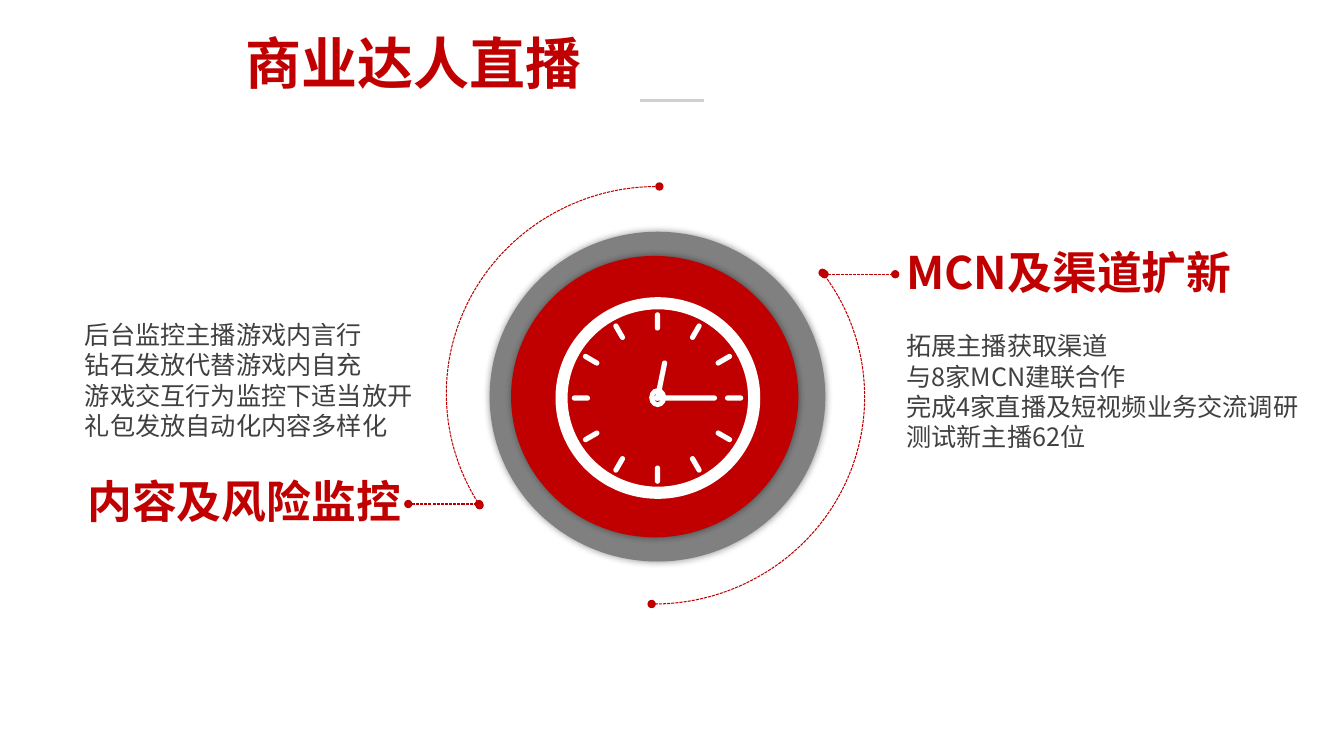
import math
from dataclasses import dataclass

from lxml import etree
from pptx import Presentation
from pptx.dml.color import RGBColor
from pptx.enum.dml import MSO_LINE
from pptx.enum.lang import MSO_LANGUAGE_ID
from pptx.enum.shapes import MSO_CONNECTOR, MSO_SHAPE
from pptx.enum.text import MSO_ANCHOR, MSO_AUTO_SIZE, PP_ALIGN
from pptx.oxml.ns import qn
from pptx.util import Cm, Pt

LEFT, RIGHT, JUSTIFY = PP_ALIGN.LEFT, PP_ALIGN.RIGHT, PP_ALIGN.JUSTIFY
TOP, MIDDLE = MSO_ANCHOR.TOP, MSO_ANCHOR.MIDDLE
GROW, FIXED = MSO_AUTO_SIZE.SHAPE_TO_FIT_TEXT, MSO_AUTO_SIZE.NONE
STRAIGHT = MSO_CONNECTOR.STRAIGHT
DASH = MSO_LINE.SQUARE_DOT
ARC, OVAL, DONUT = MSO_SHAPE.ARC, MSO_SHAPE.OVAL, MSO_SHAPE.DONUT
ROUNDED = MSO_SHAPE.ROUNDED_RECTANGLE
CHINESE = MSO_LANGUAGE_ID.SIMPLIFIED_CHINESE

RED, GRAY, WHITE = "C00000", "808080", "FFFFFF"
TEXT_GRAY, RULE_GRAY = "404040", "D0CECE"
CJK_FONT = "Noto Sans CJK SC"
CLOCK_X, CLOCK_Y = 16.57, 10.03
TICK_RADIUS = 1.93


@dataclass
class Box:
    left: float
    top: float
    width: float
    height: float

    def lengths(self) -> tuple:
        return Cm(self.left), Cm(self.top), Cm(self.width), Cm(self.height)


@dataclass
class TextBlock:
    box: Box
    lines: list
    size: float
    color: str
    bold: bool = False
    align: PP_ALIGN = LEFT
    auto_size: MSO_AUTO_SIZE = GROW
    spacing: object = None
    top_inset: float = 0.1
    bottom_inset: float = 0.1


@dataclass
class Leader:
    left: float
    right: float
    y: float


@dataclass
class Bar:
    x: float
    y: float
    length: float
    angle: float


def rgb(color: str) -> RGBColor:
    return RGBColor.from_string(color)


def write_text(shape, lines: list, *, size: float, color: str, font: str = CJK_FONT,
               bold: bool = False, align: PP_ALIGN = LEFT, anchor: MSO_ANCHOR = MIDDLE,
               wrap: bool = True, auto_size: MSO_AUTO_SIZE = GROW, spacing=None,
               insets: tuple = (0.18, 0.1, 0.18, 0.1)) -> None:
    frame = shape.text_frame
    frame.word_wrap = wrap
    frame.auto_size = auto_size
    frame.vertical_anchor = anchor
    (frame.margin_left, frame.margin_top,
     frame.margin_right, frame.margin_bottom) = map(Cm, insets)
    for index, line in enumerate(lines):
        paragraph = frame.add_paragraph() if index else frame.paragraphs[0]
        paragraph.alignment = align
        paragraph.line_spacing = spacing
        run = paragraph.add_run()
        run.text = line
        run.font.size = Pt(size)
        run.font.bold = bold
        run.font.name = font
        run.font.language_id = CHINESE
        run.font.color.rgb = rgb(color)
        properties = run.font._element
        etree.SubElement(properties, qn("a:ea"), typeface=CJK_FONT)


def add_text_block(slide, block: TextBlock) -> None:
    shape = slide.shapes.add_textbox(*block.box.lengths())
    write_text(shape, block.lines, size=block.size, color=block.color, bold=block.bold,
               align=block.align, auto_size=block.auto_size, spacing=block.spacing,
               insets=(0.18, block.top_inset, 0.18, block.bottom_inset))


def style_dotted_line(shape) -> None:
    shape.line.color.rgb = rgb(RED)
    shape.line.width = Pt(0.75)
    shape.line.dash_style = DASH
    line = shape._element.spPr.find(qn("a:ln"))
    for end in ("a:headEnd", "a:tailEnd"):
        etree.SubElement(line, qn(end), type="oval")


def add_line(slide, left: float, right: float, y: float):
    connector = slide.shapes.add_connector(STRAIGHT, Cm(left), Cm(y), Cm(right), Cm(y))
    connector.line.color.rgb = rgb(RULE_GRAY)
    connector.line.width = Pt(2.25)
    etree.SubElement(connector._element.spPr, qn("a:effectLst"))
    return connector


def add_arc(slide, box: Box, start: float, rotation: float) -> None:
    arc = slide.shapes.add_shape(ARC, *box.lengths())
    arc.adjustments[0] = start
    arc.adjustments[1] = 162.32
    arc.rotation = rotation
    arc.fill.background()
    style_dotted_line(arc)
    arc.shadow.inherit = False


def add_filled(slide, kind: MSO_SHAPE, box: Box, color: str, adjustment: float = 0,
               rotation: float = 0):
    shape = slide.shapes.add_shape(kind, *box.lengths())
    if adjustment:
        shape.adjustments[0] = adjustment
    shape.rotation = rotation
    shape.fill.solid()
    shape.fill.fore_color.rgb = rgb(color)
    shape.line.fill.background()
    shape.shadow.inherit = False
    return shape


def add_disc(slide, box: Box, color: str) -> None:
    disc = add_filled(slide, OVAL, box, color)
    effects = disc._element.spPr.find(qn("a:effectLst"))
    shadow = etree.SubElement(effects, qn("a:outerShdw"), blurRad=str(Pt(5)),
                              algn="ctr", rotWithShape="0")
    shade = etree.SubElement(shadow, qn("a:srgbClr"), val="000000")
    etree.SubElement(shade, qn("a:alpha"), val="40000")


def add_bar(slide, bar: Bar, width: float = 0.13) -> None:
    box = Box(bar.x - width / 2, bar.y - bar.length / 2, width, bar.length)
    add_filled(slide, ROUNDED, box, WHITE, 0.5, bar.angle)


def add_clock(slide) -> None:
    add_filled(slide, DONUT, Box(14, 7.49, 5.16, 5.08), WHITE, 0.06)
    for angle in range(0, 360, 30):
        x = CLOCK_X + TICK_RADIUS * math.sin(math.radians(angle))
        y = CLOCK_Y - TICK_RADIUS * math.cos(math.radians(angle))
        add_bar(slide, Bar(x, y, 0.46, angle))
    add_filled(slide, DONUT, Box(16.36, 9.78, 0.43, 0.48), WHITE, 0.29)
    for hand in (Bar(16.66, 9.59, 1.03, 11.5), Bar(17.27, CLOCK_Y, 1.6, 90)):
        add_bar(slide, hand)


TEXT_BLOCKS = [
    TextBlock(Box(1.83, 11.84, 8.46, 1.55), ["内容及风险监控"], 32, RED, True, RIGHT),
    TextBlock(Box(22.66, 5.38, 9.14, 2.92), ["MCN及渠道扩新"], 32, RED, True,
              auto_size=FIXED),
    TextBlock(Box(22.66, 8.56, 10.31, 3.25),
              ["拓展主播获取渠道", "与8家MCN建联合作",
               "完成4家直播及短视频业务交流调研", "测试新主播62位"],
              18, TEXT_GRAY, align=JUSTIFY, auto_size=FIXED, spacing=Pt(21.6),
              top_inset=0.2, bottom_inset=0.86),
    TextBlock(Box(1.96, 7.9, 9.3, 3.25),
              ["后台监控主播游戏内言行", "钻石发放代替游戏内自充",
               "游戏交互行为监控下适当放开", "礼包发放自动化内容多样化"],
              18, TEXT_GRAY, align=JUSTIFY, auto_size=FIXED, spacing=Pt(21.6),
              top_inset=0.2),
]
LEADERS = [Leader(20.78, 22.56, 6.91), Leader(10.29, 12.07, 12.7)]


def main() -> None:
    presentation = Presentation()
    presentation.slide_width, presentation.slide_height = Cm(33.87), Cm(19.05)
    slide = presentation.slides.add_slide(presentation.slide_layouts[5])
    title = slide.shapes.title
    title.left, title.top, title.width, title.height = Box(5.94, 0.79, 8.97, 1.96).lengths()
    write_text(title, ["商业达人直播"], size=40, color=RED, font="Arial", bold=True,
               anchor=TOP, wrap=False, spacing=0.9, insets=(0.25, 0.13, 0.25, 0.13))
    add_line(slide, 16.13, 17.73, 2.54)
    add_arc(slide, Box(11.25, 4.7, 10.64, 10.44), 88.73, 0)
    add_arc(slide, Box(11.15, 4.78, 10.64, 10.44), 86.23, 180)
    for leader in LEADERS:
        style_dotted_line(add_line(slide, leader.left, leader.right, leader.y))
    add_disc(slide, Box(12.34, 5.84, 8.46, 8.31), GRAY)
    for block in TEXT_BLOCKS:
        add_text_block(slide, block)
    add_disc(slide, Box(12.88, 6.45, 7.24, 7.09), RED)
    add_clock(slide)
    presentation.save("out.pptx")


if __name__ == "__main__":
    main()
